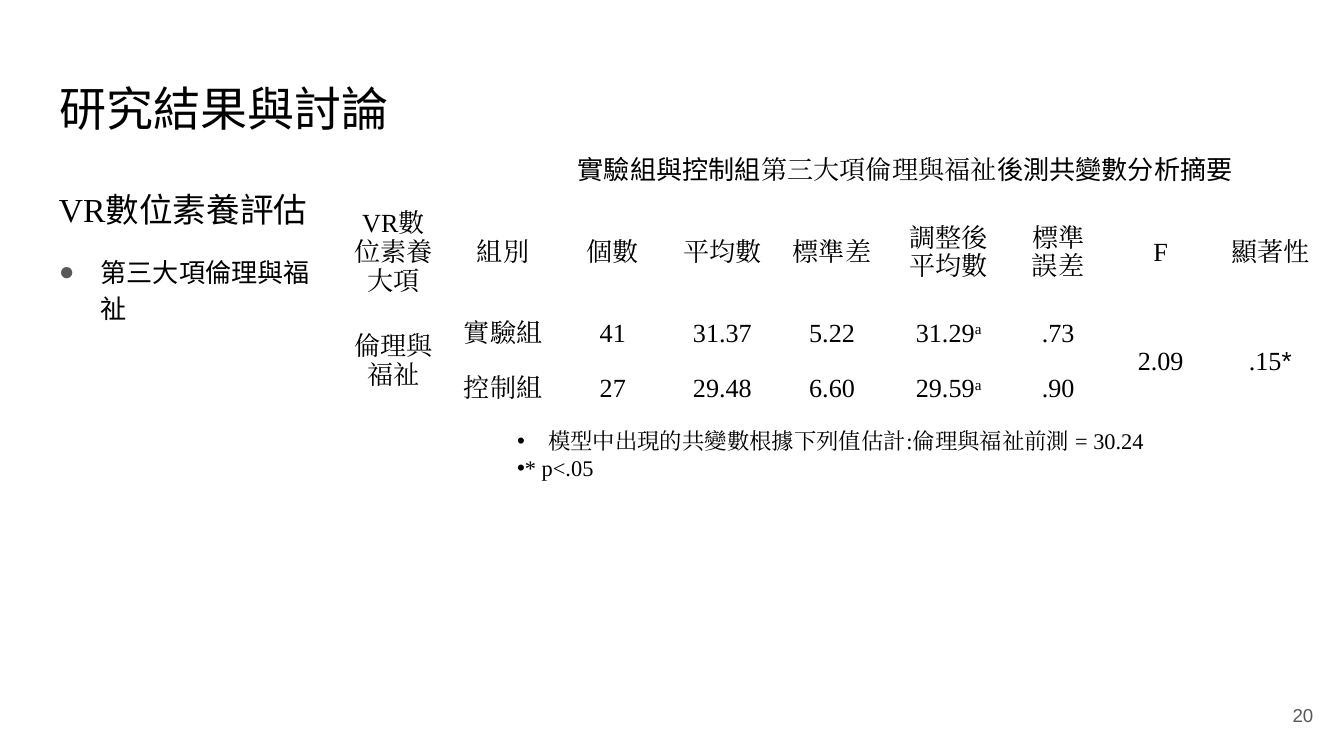
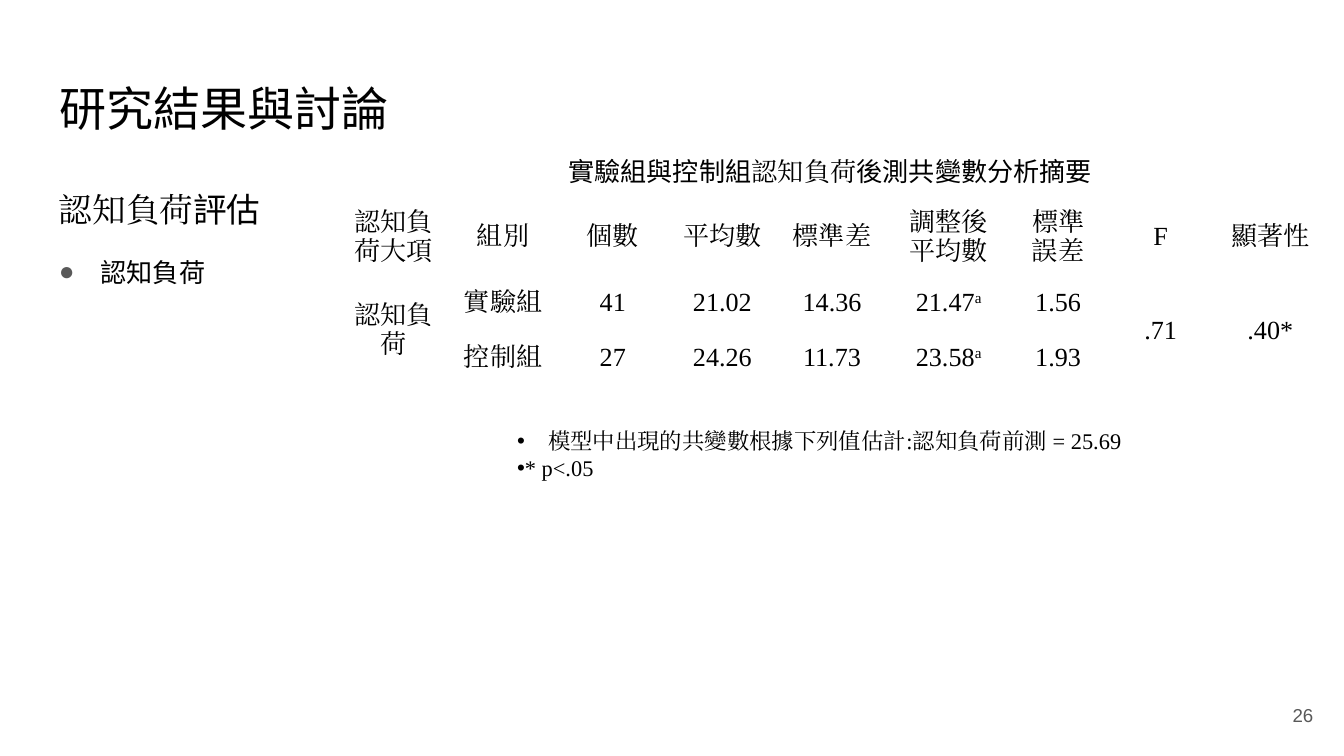
"""Build two result slides with analysis-of-covariance tables."""
from dataclasses import dataclass

from lxml import etree
from pptx import Presentation
from pptx.dml.color import RGBColor
from pptx.enum.text import MSO_ANCHOR, MSO_AUTO_SIZE, PP_ALIGN
from pptx.oxml.ns import qn
from pptx.util import Emu, Inches, Pt

LEFT, CENTER, RIGHT = PP_ALIGN.LEFT, PP_ALIGN.CENTER, PP_ALIGN.RIGHT
TOP, MIDDLE = MSO_ANCHOR.TOP, MSO_ANCHOR.MIDDLE
NO_FIT, GROW = MSO_AUTO_SIZE.NONE, MSO_AUTO_SIZE.SHAPE_TO_FIT_TEXT
TITLE_ONLY = 5


@dataclass(frozen=True)
class Theme:
    background: str = "FFFFFF"
    ink: str = "000000"
    muted: str = "595959"
    sans: str = "Arial"
    serif: str = "Times New Roman"
    cjk: str = "Noto Sans CJK SC"
    title: float = 25.2
    heading: float = 18
    text: float = 14
    note: float = 12
    page: float = 10


THEME = Theme()
TITLE = "研究結果與討論"
HEADERS = ["組別", "個數", "平均數", "標準差", "調整後平均數", "標準誤差", "F", "顯著性"]
GROUPS = ["實驗組", "控制組"]
COLUMNS = [8.16] * 5 + [9.2, 7.1] + [8.16] * 2
ROW = 7.29
ADJUSTED = 5
MERGED = (0, 7, 8)

RESULTS = [
    {
        "page": "20",
        "heading": [("VR", THEME.serif), ("數位素養評估", THEME.cjk)],
        "topic": "第三大項倫理與福祉",
        "caption_at": (42, 19.4, 51.1, 6),
        "category": "VR數位素養大項",
        "measure": "倫理與福祉",
        "scores": [["41", "31.37", "5.22", "31.29", ".73"],
                   ["27", "29.48", "6.60", "29.59", ".90"]],
        "f": "2.09",
        "significance": [(".15", THEME.serif), ("*", THEME.sans)],
        "covariate": "30.24",
    },
    {
        "page": "26",
        "heading": [("認知負荷", THEME.serif), ("評估", THEME.cjk)],
        "topic": "認知負荷",
        "caption_at": (41.3, 19.7, 41.3, 6),
        "category": "認知負荷大項",
        "measure": "認知負荷",
        "scores": [["41", "21.02", "14.36", "21.47", "1.56"],
                   ["27", "24.26", "11.73", "23.58", "1.93"]],
        "f": ".71",
        "significance": [(".40*", THEME.serif)],
        "covariate": "25.69",
    },
]


class Deck:
    """Hold the theme and current slide; lengths are percentages of the slide."""

    def __init__(self, theme):
        self.theme = theme
        self.presentation = Presentation()
        self.presentation.slide_width = Inches(10)
        self.presentation.slide_height = Inches(5.625)
        self.slide = None

    def across(self, share):
        return Emu(round(self.presentation.slide_width * share / 100))

    def down(self, share):
        return Emu(round(self.presentation.slide_height * share / 100))

    def place(self, at):
        left, top, width, height = at
        return self.across(left), self.down(top), self.across(width), self.down(height)

    def start(self, title):
        layout = self.presentation.slide_layouts[TITLE_ONLY]
        self.slide = self.presentation.slides.add_slide(layout)
        fill = self.slide.background.fill
        fill.solid()
        fill.fore_color.rgb = RGBColor.from_string(self.theme.background)
        heading = self.slide.shapes.title
        heading.left, heading.top, heading.width, heading.height = self.place(
            (3.4, 8.7, 93.2, 11.2))
        frame = self.frame(heading, MIDDLE, inset=0.1)
        self.add_runs(frame.paragraphs[0], [(title, self.theme.sans)], self.theme.title)

    def frame(self, shape, anchor=TOP, inset=None, fit=NO_FIT, wrap=True):
        frame = shape.text_frame
        frame.word_wrap, frame.auto_size = wrap, fit
        frame.vertical_anchor = anchor
        if inset is not None:
            frame.margin_left = frame.margin_right = Inches(inset)
            frame.margin_top = frame.margin_bottom = Inches(inset)
        return frame

    def box(self, at, **options):
        return self.frame(self.slide.shapes.add_textbox(*self.place(at)), **options)

    def add_runs(self, paragraph, runs, size, align=LEFT, color=None):
        paragraph.alignment = align
        for text, face in runs:
            run = paragraph.add_run()
            run.text = text
            run.font.name, run.font.size = face, Pt(size)
            run.font.color.rgb = RGBColor.from_string(color or self.theme.ink)
            east_asian = etree.SubElement(run.font._element, qn("a:ea"))
            east_asian.set("typeface", face)

    def bullet(self, paragraph, mark, color, indent=0):
        properties = paragraph._p.get_or_add_pPr()
        properties.set("marL", str(Inches(indent)))
        properties.set("indent", str(-Inches(indent)))
        tint = etree.SubElement(properties, qn("a:buClr"))
        etree.SubElement(tint, qn("a:srgbClr")).set("val", color)
        etree.SubElement(properties, qn("a:buFont")).set("typeface", self.theme.sans)
        etree.SubElement(properties, qn("a:buChar")).set("char", mark)

    def outline(self, heading, topic):
        frame = self.box((3.4, 22.4, 21.8, 64.7), inset=0.1)
        first, second = frame.paragraphs[0], frame.add_paragraph()
        for paragraph in (first, second):
            paragraph.line_spacing, paragraph.space_after = 1.15, Pt(12)
        self.add_runs(first, heading, self.theme.heading)
        self.add_runs(second, [(topic, self.theme.cjk)], self.theme.text)
        self.bullet(second, "●", self.theme.muted, 0.31)

    def page_number(self, number):
        frame = self.box((92.7, 90.7, 6, 7.65), anchor=MIDDLE, inset=0.1)
        self.add_runs(frame.paragraphs[0], [(number, self.theme.sans)],
                      self.theme.page, RIGHT, self.theme.muted)

    def notes(self, lines):
        frame = self.box((37.5, 55.6, 54.3, 8.9), anchor=MIDDLE, fit=GROW)
        for index, (line, indent) in enumerate(lines):
            paragraph = frame.add_paragraph() if index else frame.paragraphs[0]
            self.add_runs(paragraph, [(line, self.theme.serif)], self.theme.note)
            self.bullet(paragraph, "•", self.theme.ink, indent)

    def caption(self, at, topic):
        frame = self.box(at, fit=GROW, wrap=False)
        runs = [("實驗組與控制組", self.theme.cjk), (topic, self.theme.serif),
                ("後測共變數分析摘要", self.theme.cjk)]
        self.add_runs(frame.paragraphs[0], runs, self.theme.text)

    def table(self, rows):
        at = (25.2, 26.3, sum(COLUMNS), ROW * len(rows))
        table = self.slide.shapes.add_table(
            len(rows), len(COLUMNS), *self.place(at)).table
        table.first_row = table.horz_banding = False
        for column, width in zip(table.columns, COLUMNS):
            column.width = self.across(width)
        for row in table.rows:
            row.height = self.down(ROW)
        for column in MERGED:
            table.cell(1, column).merge(table.cell(2, column))
        for r, values in enumerate(rows):
            for c, value in enumerate(values):
                cell = table.cell(r, c)
                cell.fill.background()
                cell.vertical_anchor = MIDDLE
                if not value:
                    continue
                runs = [(value, self.theme.serif)] if isinstance(value, str) else value
                paragraph = cell.text_frame.paragraphs[0]
                self.add_runs(paragraph, runs, self.theme.text, CENTER)
                if r and c == ADJUSTED:
                    paragraph.runs[-1].font._element.set("baseline", "30000")


def score_rows(result, face):
    rows = [[result["category"], *HEADERS]]
    for index, (group, scores) in enumerate(zip(GROUPS, result["scores"])):
        count, mean, deviation, adjusted, error = scores
        measure, ratio, significance = ("", "", "") if index else (
            result["measure"], result["f"], result["significance"])
        rows.append([measure, group, count, mean, deviation,
                     [(adjusted, face), ("a", face)], error, ratio, significance])
    return rows


def main():
    deck = Deck(THEME)
    for result in RESULTS:
        deck.start(TITLE)
        deck.outline(result["heading"], result["topic"])
        deck.page_number(result["page"])
        covariate = f"模型中出現的共變數根據下列值估計:{result['measure']}前測 = {result['covariate']}"
        deck.notes([(covariate, 0.23), ("* p<.05", 0)])
        deck.table(score_rows(result, THEME.serif))
        deck.caption(result["caption_at"], result["topic"])
    deck.presentation.save("out.pptx")


if __name__ == "__main__":
    main()
